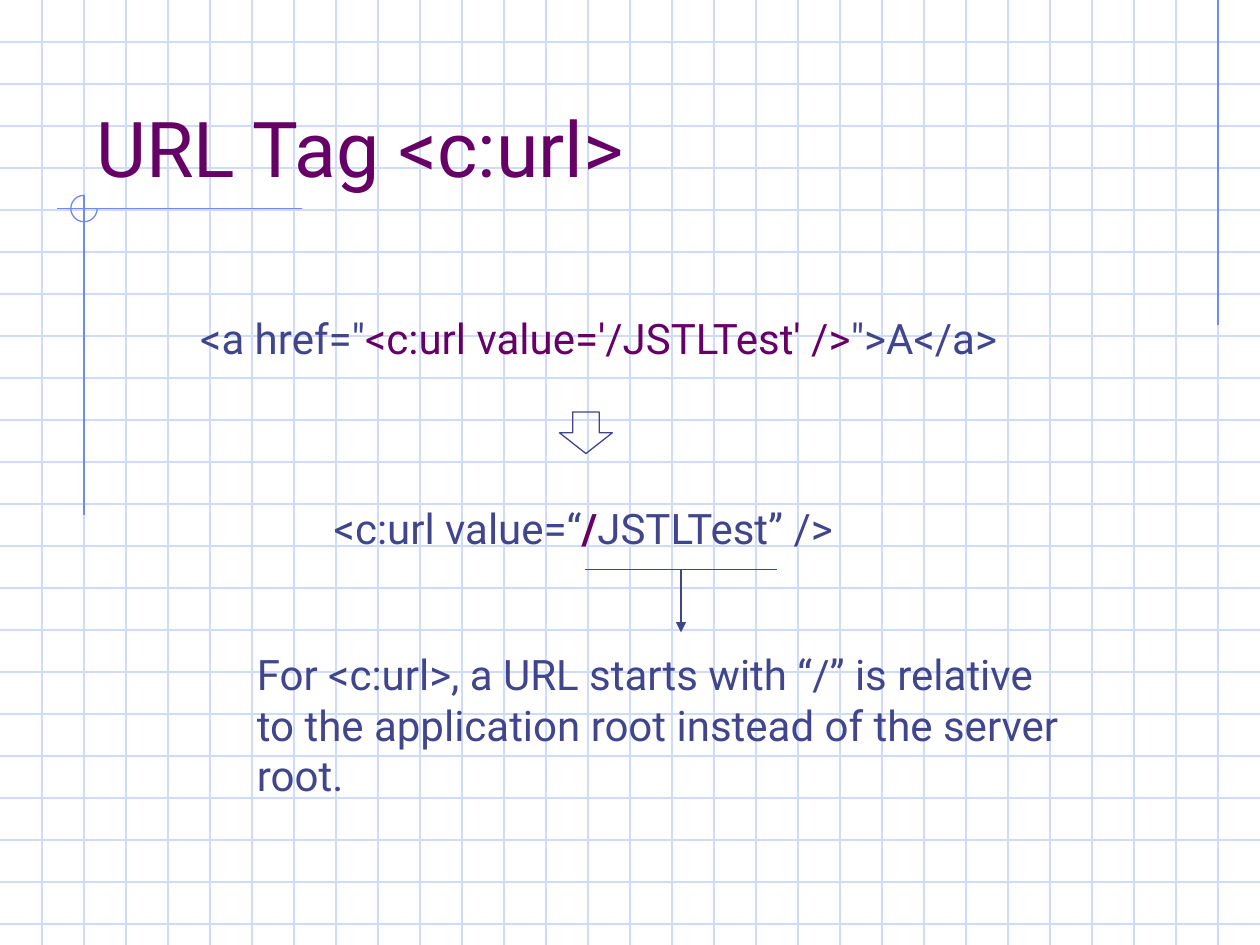
from dataclasses import dataclass

from lxml import etree
from pptx import Presentation, util as u
from pptx.dml.color import RGBColor
from pptx.enum import shapes, text
from pptx.oxml.ns import qn

W, H = 10, 7.5
CELL = 1 / 3  # pitch of the background grid


@dataclass(frozen=True)
class Theme:
    font: str = "Roboto"
    title_size: int = 44
    body_size: int = 24
    stroke: float = 0.75
    accent: str = "660066"
    ink: str = "40458C"
    grid: str = "CFDBFD"
    rule: str = "6F89F7"


T = Theme()


def rgb(value):
    return RGBColor.from_string(value)


def add_line(s, x1, y1, x2, y2, color, arrow=False):
    cn = s.shapes.add_connector(shapes.MSO_CONNECTOR.STRAIGHT,
                                *map(u.Inches, (x1, y1, x2, y2)))
    cn.line.color.rgb = rgb(color)
    cn.line.width = u.Pt(T.stroke)
    if arrow:
        ln = cn.line._get_or_add_ln()
        etree.SubElement(ln, qn("a:tailEnd"), type="triangle")
    etree.SubElement(cn._element.spPr, qn("a:effectLst"))


def add_outline(s, kind, x, y, w, h, color):
    sp = s.shapes.add_shape(kind, *map(u.Inches, (x, y, w, h)))
    sp.shadow.inherit = False
    sp.fill.background()
    sp.line.color.rgb = rgb(color)
    sp.line.width = u.Pt(T.stroke)
    return sp


def add_text(s, x, y, w, h, paragraphs, size=T.body_size,
             anchor=text.MSO_ANCHOR.TOP):
    """Each paragraph is a list of (words, colour, bold) runs."""
    tf = s.shapes.add_textbox(*map(u.Inches, (x, y, w, h))).text_frame
    tf.word_wrap = True
    tf.vertical_anchor = anchor
    for i, runs in enumerate(paragraphs):
        p = tf.add_paragraph() if i else tf.paragraphs[0]
        p.font.name, p.font.size = T.font, u.Pt(size)
        for words, color, bold in runs:
            r = p.add_run()
            r.text = words
            r.font.color.rgb = rgb(color)
            r.font.bold = bold


def background(s, w, h):
    # Graph paper
    for i in range(1, int(h / CELL) + 1):
        add_line(s, 0, i * CELL, w, i * CELL, T.grid)
    for i in range(1, int(w / CELL)):
        add_line(s, i * CELL, 0, i * CELL, h, T.grid)
    # Margin rules, crossing inside a three-quarter circle
    left, right, cross, radius = 2 * CELL, w - CELL, 1.655, 0.105
    add_line(s, right, 0, right, 2.58, T.rule)
    add_line(s, 2.4, cross, 0.45, cross, T.rule)
    add_line(s, left, cross - radius, left, 4.09, T.rule)
    arc = add_outline(s, shapes.MSO_SHAPE.ARC, left - radius, cross - radius,
                      2 * radius, 2 * radius, T.rule)
    arc.adjustments[0] = 0
    arc.adjustments[1] = 270 * 0.6  # degrees in the unit of the adjustment


def title(s, x, y, w, h):
    add_text(s, x, y, w, h, [[("URL Tag <c:url>", T.accent, False)]],
             T.title_size, text.MSO_ANCHOR.BOTTOM)


def example(s, x, y, w):
    # Link that uses the tag
    add_text(s, x, y, w, 0.5, [[
        ('<a href="', T.ink, False),
        ("<c:url value='/JSTLTest' />", T.accent, False),
        ('">A</a>', T.ink, False)]])
    add_outline(s, shapes.MSO_SHAPE.DOWN_ARROW,
                x + 2.95, y + 0.84, 0.42, 0.33, T.ink)
    # The tag by itself
    add_text(s, x + 1.06, y + 1.51, 4.25, 0.5, [[
        ("<c:url value=“", T.ink, False),
        ("/", T.accent, True),
        ("JSTLTest” />", T.ink, False)]])


def explanation(s, x, y, w):
    # Underline of the path, with a pointer to the remark
    start, end = x + 2.7, x + 4.23
    middle = (start + end) / 2
    add_line(s, start, y, end, y, T.ink)
    add_line(s, middle, y, middle, y + 0.5, T.ink, arrow=True)
    remark = ("For <c:url>, a URL starts with “/” is relative",
              "to the application root instead of the server",
              "root.")
    add_text(s, x, y + 0.58, w, 1.3,
             [[(words, T.ink, False)] for words in remark])


def main():
    prs = Presentation()
    prs.slide_width, prs.slide_height = u.Inches(W), u.Inches(H)
    s = prs.slides.add_slide(prs.slide_layouts[6])
    background(s, W, H)
    title(s, 2 * CELL, CELL, 8.5, 1.25)
    example(s, 1.49, 2.43, 6.81)
    explanation(s, 1.94, 4.52, 6.99)
    prs.save("out.pptx")


if __name__ == "__main__":
    main()
